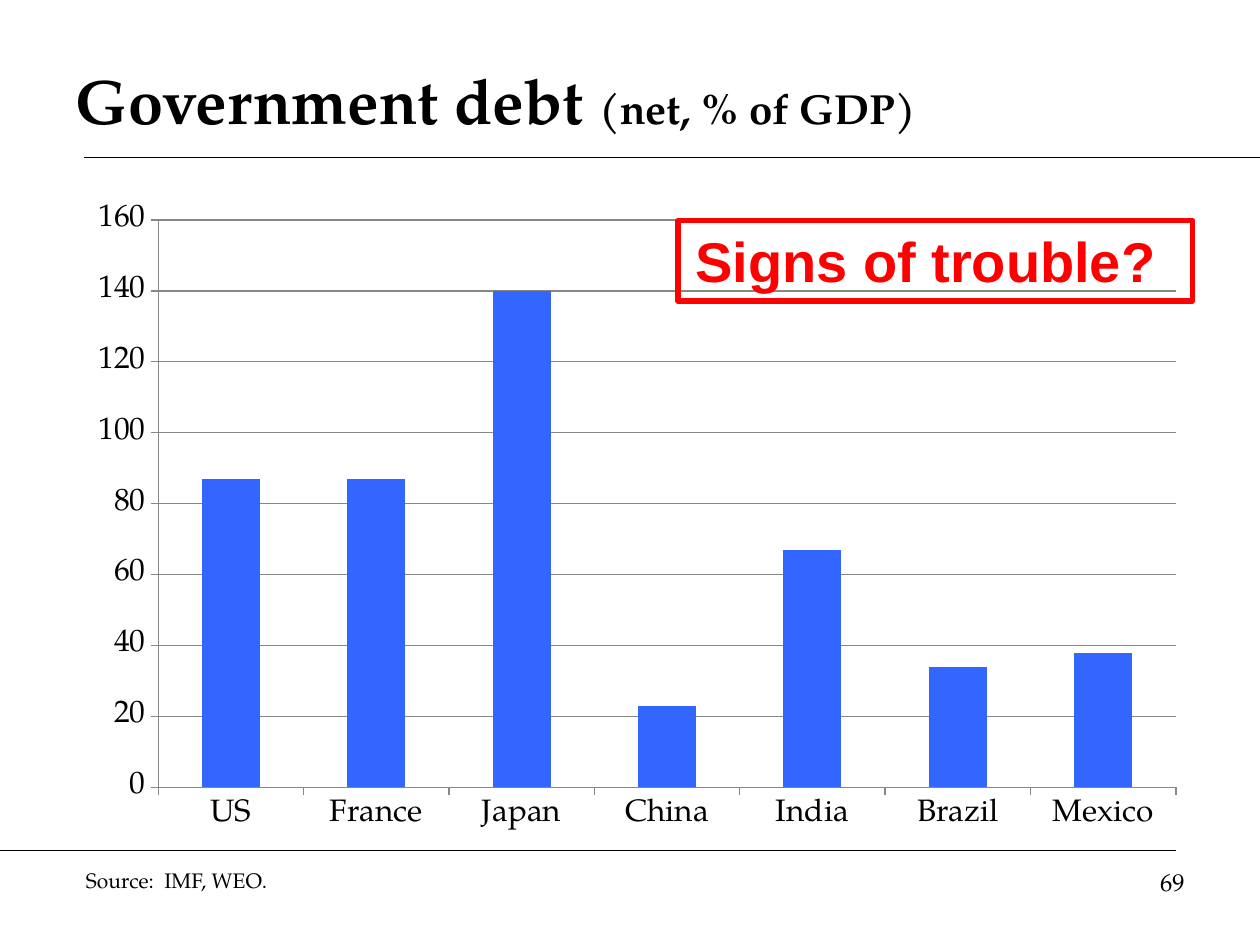
"""Build a slide with a column chart of net government debt by country."""
from lxml import etree
from pptx import Presentation
from pptx.chart.data import CategoryChartData
from pptx.dml.color import RGBColor
from pptx.enum.chart import XL_CHART_TYPE, XL_TICK_MARK
from pptx.enum.shapes import MSO_CONNECTOR, MSO_SHAPE
from pptx.enum.text import MSO_ANCHOR, PP_ALIGN
from pptx.oxml import parse_xml
from pptx.oxml.ns import nsdecls, qn
from pptx.util import Pt

COLUMNS = XL_CHART_TYPE.COLUMN_CLUSTERED
OUTSIDE = XL_TICK_MARK.OUTSIDE
STRAIGHT = MSO_CONNECTOR.STRAIGHT
RECTANGLE = MSO_SHAPE.RECTANGLE
TOP, MIDDLE = MSO_ANCHOR.TOP, MSO_ANCHOR.MIDDLE
LEFT, CENTER, RIGHT = PP_ALIGN.LEFT, PP_ALIGN.CENTER, PP_ALIGN.RIGHT

BLACK = RGBColor(0x00, 0x00, 0x00)
GRAY = RGBColor(0x87, 0x87, 0x87)
BLUE = RGBColor(0x33, 0x66, 0xFF)
RED = RGBColor(0xFF, 0x00, 0x00)

SERIF, SANS = "TeX Gyre Pagella", "Arial"
DEBT = {"US": 87, "France": 87, "Japan": 140, "China": 23,
        "India": 67, "Brazil": 34, "Mexico": 38}
PLOT_AREA = {"x": 0.066, "y": 0.044, "w": 0.906, "h": 0.907}


class SlideBuilder:
    """Hold the slide and its style, with a method for each element."""

    def __init__(self, slide):
        self.slide = slide
        self.shapes = slide.shapes

    def style(self, font, size=None, color=BLACK, name=SERIF, bold=False):
        font.name, font.bold = name, bold
        font.color.rgb = color
        if size:
            font.size = Pt(size)

    def place(self, shape, left, top, width, height):
        shape.left, shape.top = Pt(left), Pt(top)
        shape.width, shape.height = Pt(width), Pt(height)

    def title(self, bounds, spans):
        title = self.shapes.title
        self.place(title, *bounds)
        title.text_frame.vertical_anchor = MIDDLE
        para = title.text_frame.paragraphs[0]
        para.alignment = LEFT
        self.style(para.font, bold=True)
        for text, size in spans:
            span = para.add_run()
            span.text = text
            span.font.size = Pt(size)

    def rule(self, left, right, y):
        line = self.shapes.add_connector(STRAIGHT, Pt(left), Pt(y), Pt(right), Pt(y))
        line.line.color.rgb = BLACK
        line.line.width = Pt(0.75)
        etree.SubElement(line.element.spPr, qn("a:effectLst"))

    def set_text(self, box, text, align, size, **look):
        frame = box.text_frame
        frame.word_wrap = True
        frame.vertical_anchor = TOP
        para = frame.paragraphs[0]
        para.text = text
        para.alignment = align
        self.style(para.font, size, **look)

    def label(self, bounds, text, size, align=LEFT):
        box = self.shapes.add_textbox(*map(Pt, bounds))
        self.set_text(box, text, align, size)

    def callout(self, bounds, text, size, color):
        box = self.shapes.add_shape(RECTANGLE, *map(Pt, bounds))
        box.shadow.inherit = False
        box.fill.background()
        box.line.color.rgb = color
        box.line.width = Pt(3)
        box.text_frame.margin_right = Pt(18)
        self.set_text(box, text, CENTER, size, color=color, name=SANS, bold=True)

    def column_chart(self, bounds, values, color):
        data = CategoryChartData()
        data.categories = list(values)
        data.add_series("Series 1", list(values.values()))
        chart = self.shapes.add_chart(COLUMNS, *map(Pt, bounds), data).chart
        chart.has_legend = chart.has_title = False
        self.style(chart.font, 18)
        plot = chart.plots[0]
        plot.gap_width = 150
        plot.vary_by_categories = False
        fill = plot.series[0].format.fill
        fill.solid()
        fill.fore_color.rgb = color
        value_axis = chart.value_axis
        value_axis.minimum_scale, value_axis.maximum_scale = 0, 160
        value_axis.major_unit = 20
        value_axis.has_major_gridlines = True
        for axis in (chart.category_axis, value_axis):
            axis.major_tick_mark = OUTSIDE
        for part in (chart.category_axis, value_axis, value_axis.major_gridlines):
            part.format.line.color.rgb = GRAY
            part.format.line.width = Pt(0.75)
        self.fix_plot_area(chart, PLOT_AREA)

    def fix_plot_area(self, chart, area):
        modes = '<c:xMode val="edge"/><c:yMode val="edge"/>'
        sizes = "".join(f'<c:{key} val="{part}"/>' for key, part in area.items())
        layout = parse_xml(
            f'<c:layout {nsdecls("c")}><c:manualLayout><c:layoutTarget val="inner"/>'
            f"{modes}{sizes}</c:manualLayout></c:layout>")
        plot_area = chart.element.find(".//" + qn("c:plotArea"))
        for old in plot_area.findall(qn("c:layout")):
            plot_area.remove(old)
        plot_area.insert(0, layout)


def main():
    deck = Presentation()
    deck.slide_width, deck.slide_height = Pt(720), Pt(540)
    page = SlideBuilder(deck.slides.add_slide(deck.slide_layouts[5]))
    page.rule(48, 720, 90)
    page.rule(0, 672, 486)
    page.title((36, 24, 648, 66), [("Government debt ", 36), ("(net, % of GDP)", 24)])
    page.label((516, 492, 168, 37.5), "69", 14, RIGHT)
    page.column_chart((48, 110, 642, 364.5), DEBT, BLUE)
    page.label((42, 492, 348, 21.6), "Source:  IMF, WEO.", 12)
    page.callout((387.5, 126, 294, 46), "Signs of trouble?", 32, RED)
    deck.save("out.pptx")


main()
